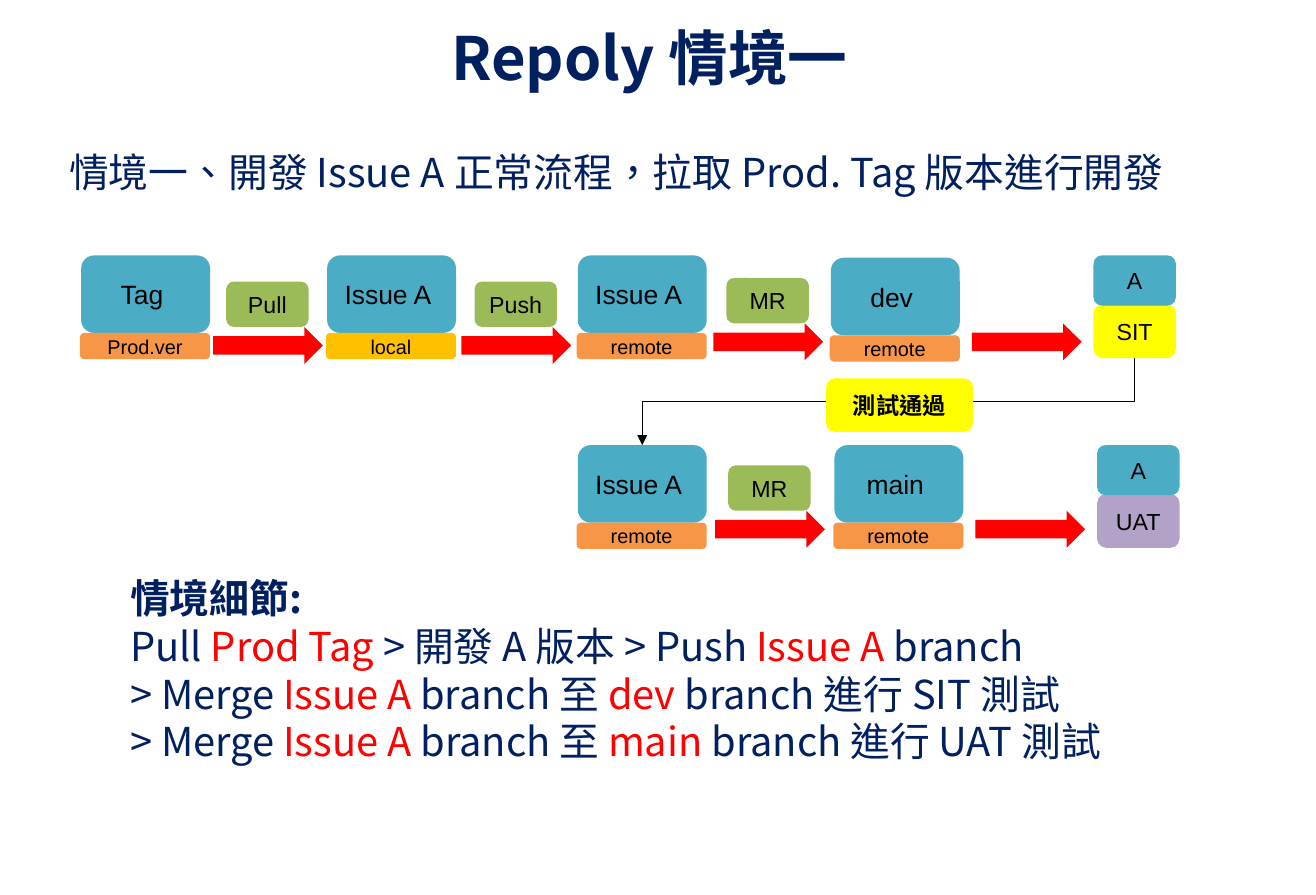
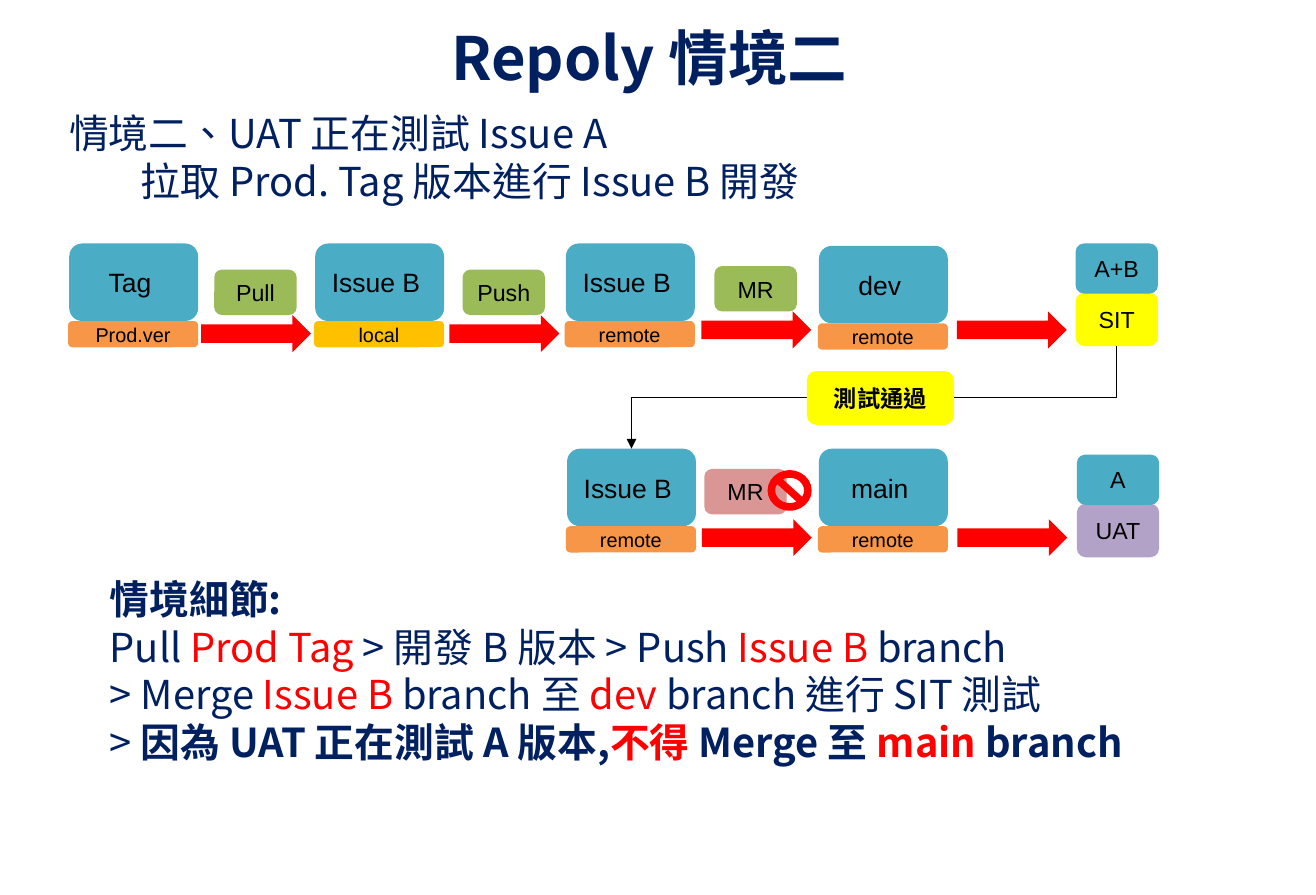
from lxml.etree import SubElement
from pptx import Presentation
from pptx.dml.color import RGBColor
from pptx.enum.shapes import MSO_CONNECTOR, MSO_SHAPE
from pptx.enum.text import MSO_ANCHOR, MSO_AUTO_SIZE, PP_ALIGN
from pptx.oxml.ns import qn
from pptx.util import Cm, Inches, Pt

THEME = {
    "navy": "002060", "red": "FF0000", "black": "000000",
    "stage": "4BACC6", "remote": "F79646", "local": "FFC000",
    "step": "9BBB59", "blocked": "D99694", "SIT": "FFFF00", "UAT": "B3A2C7",
    "heading_font": "Noto Sans CJK SC", "label_font": "Arial",
    "title_size": 36, "text_size": 24, "stage_size": 16, "label_size": 14, "base_size": 12,
}
TITLE_AREA = (1.46, 0.08, 7.96, 0.79)
STAGE = (1.08, 0.65)
BASE = (1.09, 0.22)
STEP = (0.69, 0.38)
ARROW = (0.92, 0.31)
ENV_TOP = (0.69, 0.42)
ENV_BOTTOM = (0.69, 0.45)
GATE = (1.23, 0.45)
SIGN = (0.37, 0.34)

SCENARIOS = [
    {
        "title": "Repoly 情境一",
        "lead": {"area": (0.47, 1.15, 10.44, 0.57),
                 "lines": [(0, "情境一、開發 Issue A 正常流程，拉取 Prod. Tag 版本進行開發")]},
        "rows": [
            {"top": 2.14, "blocked": False,
             "stages": [(0.68, 0, "Tag", "Prod.ver"), (2.74, 0, "Issue A", "local"),
                        (4.84, 0, "Issue A", "remote"), (6.96, 0.02, "dev", "remote")],
             "steps": ["Pull", "Push", "MR", ""], "drops": [0.6, 0.6, 0.57, 0.57],
             "env": (9.16, 0, "A", "SIT")},
            {"top": 3.73, "blocked": False,
             "stages": [(4.84, 0, "Issue A", "remote"), (6.99, 0, "main", "remote")],
             "steps": ["MR", ""], "drops": [0.55, 0.55],
             "env": (9.19, 0, "A", "UAT")},
        ],
        "gate": (6.92, 3.17, "測試通過"),
        "detail_area": (0.98, 4.76, 9.89, 1.7),
        "details": [
            [("情境細節:", "bold")],
            [("Pull ", ""), ("Prod Tag ", "red"), ("> 開發 A 版本 > Push ", ""),
             ("Issue A", "red"), (" branch", "")],
            [("> Merge ", ""), ("Issue A", "red"), (" branch 至 ", ""),
             ("dev", "red"), (" branch 進行 SIT 測試", "")],
            [("> Merge ", ""), ("Issue A ", "red"), ("branch 至 ", ""),
             ("main", "red"), (" branch 進行 UAT 測試", "")],
        ],
    },
    {
        "title": "Repoly 情境二",
        "lead": {"area": (0.47, 0.87, 10.01, 0.88),
                 "lines": [(0, "情境二、UAT 正在測試 Issue A"),
                           (0.6, "拉取 Prod. Tag 版本進行 Issue B 開發")]},
        "rows": [
            {"top": 2.04, "blocked": False,
             "stages": [(0.58, 0, "Tag", "Prod.ver"), (2.64, 0, "Issue B", "local"),
                        (4.74, 0, "Issue B", "remote"), (6.86, 0.02, "dev", "remote")],
             "steps": ["Pull", "Push", "MR", ""], "drops": [0.6, 0.6, 0.57, 0.57],
             "env": (9.01, 0, "A+B", "SIT")},
            {"top": 3.76, "blocked": True,
             "stages": [(4.75, 0, "Issue B", "remote"), (6.86, 0, "main", "remote")],
             "steps": ["MR", ""], "drops": [0.59, 0.59],
             "env": (9.02, 0.05, "A", "UAT")},
        ],
        "gate": (6.76, 3.11, "測試通過"),
        "detail_area": (0.81, 4.83, 9.67, 1.57),
        "details": [
            [("情境細節:", "bold")],
            [("Pull ", ""), ("Prod Tag ", "red"), ("> 開發 B 版本 > Push ", ""),
             ("Issue B ", "red"), ("branch", "")],
            [("> Merge ", ""), ("Issue B ", "red"), ("branch 至 ", ""),
             ("dev", "red"), (" branch 進行 SIT 測試", "")],
            [("> ", ""), ("因為 UAT 正在測試 A 版本,", "bold"), ("不得 ", "bold red"),
             ("Merge 至 ", "bold"), ("main ", "bold red"), ("branch", "bold")],
        ],
    },
]


def color(name):
    return RGBColor.from_string(THEME[name])


def add_span(para, text, size, font, ink, bold=False):
    span = para.add_run()
    span.text = text
    span.font.size = Pt(THEME[size])
    span.font.bold = bold
    span.font.color.rgb = color(ink)
    span.font.name = THEME[font]
    props = span.font._element
    props.set("lang", "zh-TW")
    SubElement(props, qn("a:ea")).set("typeface", THEME["heading_font"])


def place(item, left, top, width, height):
    item.left, item.top = Inches(left), Inches(top)
    item.width, item.height = Inches(width), Inches(height)


def set_frame(frame, side, end):
    frame.word_wrap = True
    frame.auto_size = MSO_AUTO_SIZE.NONE
    frame.vertical_anchor = MSO_ANCHOR.MIDDLE
    frame.margin_left = frame.margin_right = Inches(side)
    frame.margin_top = frame.margin_bottom = Inches(end)


def write_lines(box, lines, size, align=PP_ALIGN.LEFT):
    frame = box.text_frame
    set_frame(frame, 0.11, 0.11)
    for index, (indent, spans) in enumerate(lines):
        para = frame.paragraphs[0] if index == 0 else frame.add_paragraph()
        para.alignment = align
        para.space_before = Pt(0)
        props = para._p.get_or_add_pPr()
        props.set("marL", str(Inches(indent)))
        props.set("indent", "0")
        SubElement(props, qn("a:buNone"))
        for text, style in spans:
            add_span(para, text, size, "heading_font",
                     "red" if "red" in style else "navy", "bold" in style)


def add_block(page, kind, spot, size, fill, text="", text_size="label_size", bold=False):
    box = page.shapes.add_shape(kind, *map(Inches, (*spot, *size)))
    box.shadow.inherit = False
    box.fill.solid()
    box.fill.fore_color.rgb = color(fill)
    box.line.fill.background()
    if text:
        set_frame(box.text_frame, 0.1, 0.05)
        para = box.text_frame.paragraphs[0]
        para.alignment = PP_ALIGN.CENTER
        add_span(para, text, text_size, "label_font", "black", bold)
    return box


def add_stage(page, left, top, name, base):
    box = add_block(page, MSO_SHAPE.ROUNDED_RECTANGLE, (left, top), STAGE, "stage",
                    name, "stage_size")
    box.text_frame.margin_right = Inches(0.16)
    add_block(page, MSO_SHAPE.ROUNDED_RECTANGLE, (left - 0.01, top + STAGE[1]), BASE,
              "local" if base == "local" else "remote", base, "base_size")
    return box


def add_step(page, left, top, label, blocked):
    add_block(page, MSO_SHAPE.RIGHT_ARROW, (left, top), ARROW, "red")
    if not label:
        return
    shift, lift = (0.02, 0.42) if blocked else (0.11, 0.38)
    add_block(page, MSO_SHAPE.ROUNDED_RECTANGLE, (left + shift, top - lift), STEP,
              "blocked" if blocked else "step", label)
    if blocked:
        add_block(page, MSO_SHAPE.NO_SYMBOL, (left + ARROW[0] - SIGN[0], top - lift + 0.01),
                  SIGN, "red")


def add_row(page, row):
    top = row["top"]
    stages = [add_stage(page, left, top + drop, name, base)
              for left, drop, name, base in row["stages"]]
    env_left, env_drop, build, env = row["env"]
    spot = (env_left, top + env_drop)
    bottom = add_block(page, MSO_SHAPE.ROUNDED_RECTANGLE, (spot[0], spot[1] + 0.41),
                       ENV_BOTTOM, env, env)
    add_block(page, MSO_SHAPE.ROUNDED_RECTANGLE, spot, ENV_TOP, "stage", build)
    starts = [stage[0] for stage in row["stages"]]
    ends = [left - 0.01 for left in starts[1:]] + [env_left]
    for start, end, label, drop in zip(starts, ends, row["steps"], row["drops"]):
        left = (start + STAGE[0] + end - ARROW[0]) / 2
        add_step(page, left, top + drop, label, row["blocked"])
    return stages[0], bottom


def add_return_path(page, source, target):
    x1, y1 = source.left + source.width // 2, source.top + source.height
    x2, y2 = target.left + target.width // 2, target.top
    line = page.shapes.add_connector(MSO_CONNECTOR.ELBOW, x1, y1, x2, y2)
    line.begin_connect(source, 2)
    line.end_connect(target, 0)
    across, down = x1 - x2, y2 - y1
    line.left, line.top = (x1 + x2 - down) // 2, (y1 + y2 - across) // 2
    line.width, line.height = down, across
    props = line._element.spPr
    frame = props.find(qn("a:xfrm"))
    frame.attrib.pop("flipH", None)
    frame.attrib.pop("flipV", None)
    frame.set("rot", "5400000")
    line.line.color.rgb = color("black")
    line.line.width = Pt(0.75)
    SubElement(props.find(qn("a:ln")), qn("a:tailEnd")).set("type", "triangle")
    SubElement(props, qn("a:effectLst"))


def add_scenario(deck, layout, scenario):
    page = deck.slides.add_slide(layout)
    write_lines(page.shapes.title, [(0, [(scenario["title"], "bold")])],
                "title_size", PP_ALIGN.CENTER)
    lead = page.shapes.add_textbox(*map(Inches, scenario["lead"]["area"]))
    write_lines(lead, [(indent, [(text, "")]) for indent, text in scenario["lead"]["lines"]],
                "text_size")
    details = page.placeholders[1]
    place(details, *scenario["detail_area"])
    write_lines(details, [(0, spans) for spans in scenario["details"]], "text_size")
    (_, tested), (merged, _) = [add_row(page, row) for row in scenario["rows"]]
    add_return_path(page, tested, merged)
    *spot, label = scenario["gate"]
    add_block(page, MSO_SHAPE.ROUNDED_RECTANGLE, spot, GATE, "SIT", label, bold=True)


def main():
    deck = Presentation()
    deck.slide_width = Cm(28)
    deck.slide_height = Inches(7.5)
    layout = deck.slide_layouts[1]
    place(layout.placeholders[0], *TITLE_AREA)
    for scenario in SCENARIOS:
        add_scenario(deck, layout, scenario)
    deck.save("out.pptx")


if __name__ == "__main__":
    main()
